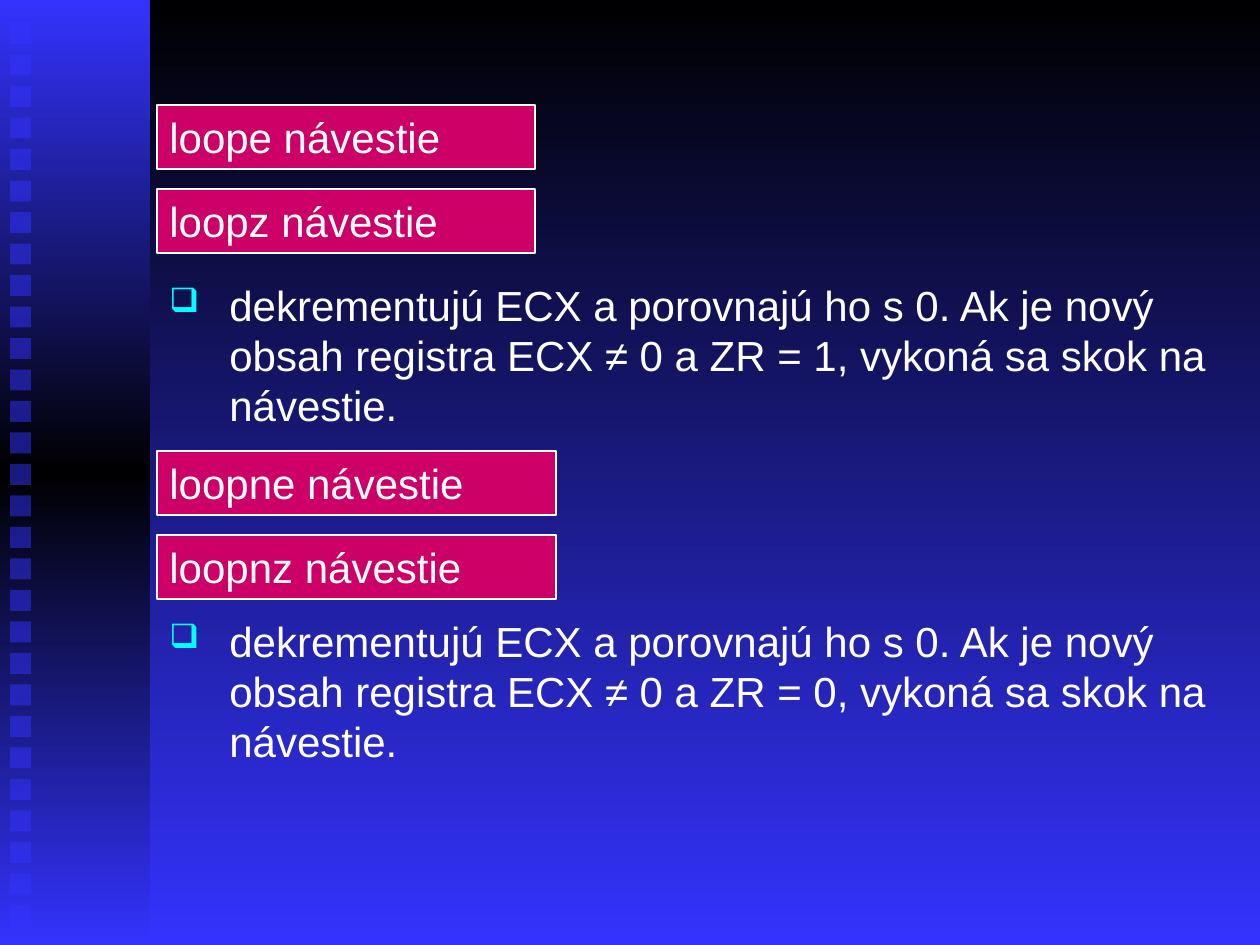
"""Build the slide on the conditional loop instructions."""
from lxml.etree import SubElement
from pptx import Presentation
from pptx.dml.color import RGBColor
from pptx.enum.shapes import MSO_SHAPE
from pptx.enum.text import MSO_ANCHOR, MSO_AUTO_SIZE, PP_ALIGN
from pptx.oxml.ns import qn
from pptx.util import Emu, Pt

SCALE = 914400 // 126
COLORS = {
    "blue": "3333FF",
    "black": "000000",
    "magenta": "CC0066",
    "white": "FFFFFF",
    "cyan": "00FFFF",
}
LEFT = 157
INDENT = 60
INSTRUCTIONS = [
    ("loope návestie", 105, 378),
    ("loopz návestie", 189, 378),
    ("loopne návestie", 451, 399),
    ("loopnz návestie", 535, 399),
]
EXPLANATIONS = [(273, 1), (609, 0)]


def px(*lengths):
    return [Emu(round(length * SCALE)) for length in lengths]


def color(name):
    return RGBColor.from_string(COLORS[name])


def add_element(parent, tag, **attributes):
    return SubElement(parent, qn(tag), **attributes)


def set_gradient(fill, element, names):
    fill.gradient()
    fill.gradient_angle = 270
    stops = next(element.iter(qn("a:gsLst")))
    for stop in list(stops):
        stops.remove(stop)
    for index, name in enumerate(names):
        position = index * 100000 // (len(names) - 1)
        stop = add_element(stops, "a:gs", pos=str(position))
        add_element(stop, "a:srgbClr", val=COLORS[name])


def add_rectangle(slide, left, top, width, height, fill=None):
    shape = slide.shapes.add_shape(
        MSO_SHAPE.RECTANGLE, *px(left, top, width, height))
    shape.shadow.inherit = False
    shape.line.fill.background()
    if fill:
        shape.fill.solid()
        shape.fill.fore_color.rgb = color(fill)
    return shape


def add_sidebar(slide):
    band = add_rectangle(slide, 0, 0, 150, 945)
    set_gradient(band.fill, band.element, ["blue", "black", "blue"])
    for index in range(29):
        square = add_rectangle(slide, 10, 23 + 31.5 * index, 21, 21, "blue")
        fill_color = next(square.element.spPr.iter(qn("a:srgbClr")))
        add_element(fill_color, "a:alpha", val="50000")


def write_text(shape, text):
    frame = shape.text_frame
    frame.text = text
    frame.word_wrap = True
    frame.auto_size = MSO_AUTO_SIZE.SHAPE_TO_FIT_TEXT
    frame.vertical_anchor = MSO_ANCHOR.TOP
    paragraph = frame.paragraphs[0]
    paragraph.alignment = PP_ALIGN.LEFT
    font = paragraph.runs[0].font
    font.name = "Arial"
    font.size = Pt(24)
    font.color.rgb = color("white")
    properties = paragraph._p.get_or_add_pPr()
    spacing = add_element(properties, "a:spcBef")
    add_element(spacing, "a:spcPct", val="50000")
    return properties


def add_instruction(slide, text, top, width):
    box = add_rectangle(slide, LEFT, top, width, 64, "magenta")
    box.line.color.rgb = color("white")
    box.line.width = Pt(0.75)
    write_text(box, text)


def add_explanation(slide, top, flag):
    box = slide.shapes.add_textbox(*px(LEFT, top, 1071, 165))
    properties = write_text(
        box,
        "dekrementujú ECX a porovnajú ho s 0. Ak je nový obsah registra "
        f"ECX ≠ 0 a ZR = {flag}, vykoná sa skok na návestie.")
    indent = px(INDENT)[0]
    properties.set("marL", str(indent))
    properties.set("indent", str(-indent))
    bullet_color = add_element(properties, "a:buClr")
    add_element(bullet_color, "a:srgbClr", val=COLORS["cyan"])
    add_element(properties, "a:buSzPct", val="80000")
    add_element(properties, "a:buChar", char="❑")


def main():
    presentation = Presentation()
    presentation.slide_width, presentation.slide_height = px(1260, 945)
    slide = presentation.slides.add_slide(presentation.slide_layouts[6])
    set_gradient(slide.background.fill, slide.element, ["black", "blue"])
    add_sidebar(slide)
    for text, top, width in INSTRUCTIONS:
        add_instruction(slide, text, top, width)
    for top, flag in EXPLANATIONS:
        add_explanation(slide, top, flag)
    presentation.save("out.pptx")


main()
